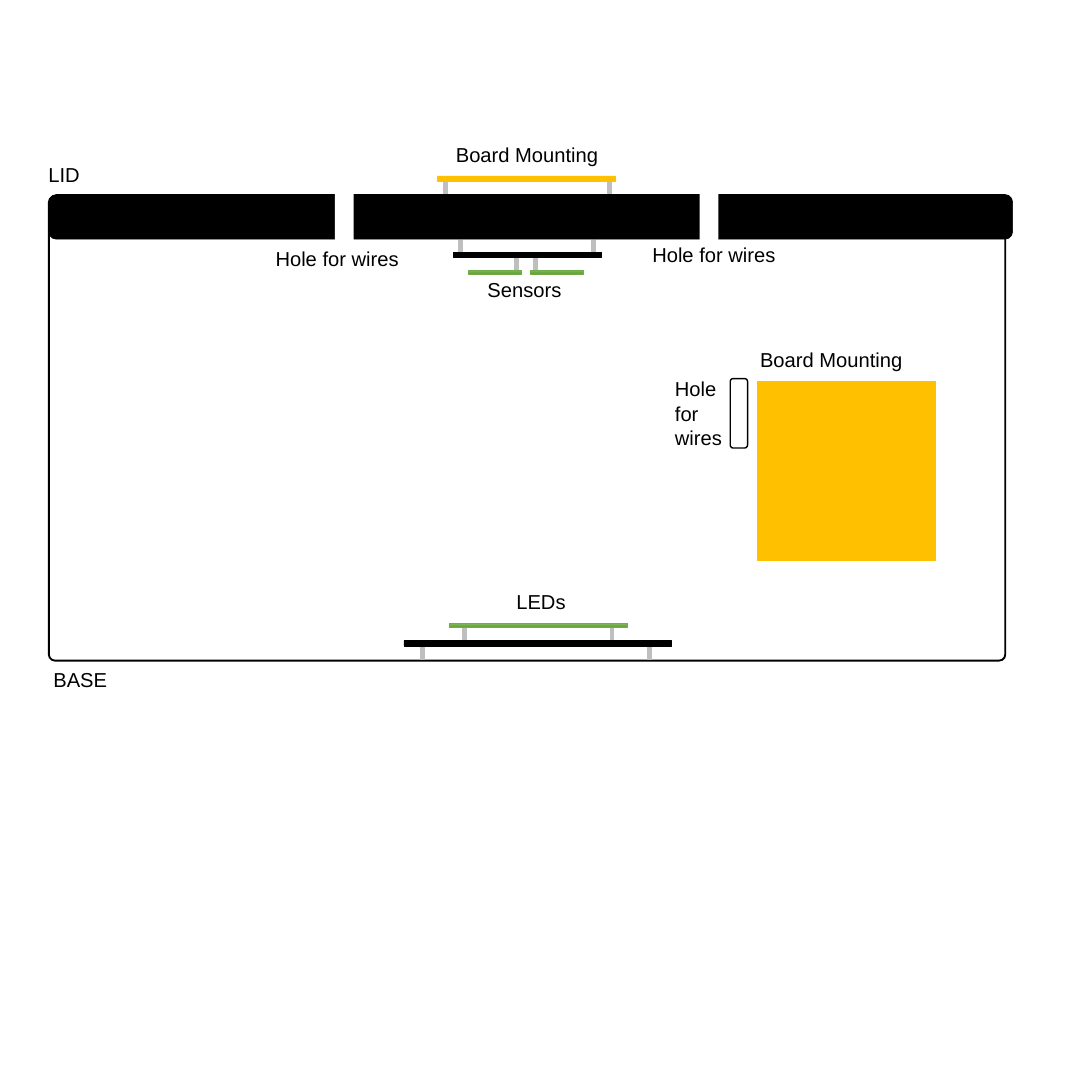
from pptx import Presentation
from pptx.dml.color import RGBColor
from pptx.enum.shapes import MSO_SHAPE as SHAPE
from pptx.enum.text import PP_ALIGN as ALIGN
from pptx.util import Cm, Pt

COLORS = {
    "black": "000000", "white": "FFFFFF", "pin": "BFBFBF", "board": "FFC000",
    "green": "70AD47", "green_top": "81B861", "green_bottom": "62A336",
}

prs = Presentation()
prs.slide_width, prs.slide_height = Cm(61.19), Cm(60)
s = prs.slides.add_slide(prs.slide_layouts[6])


def add_box(x, y, w, h, fill=None, line=None, width=1, kind=SHAPE.RECTANGLE):
    """Draw a part; the line takes the fill colour unless given."""
    sp = s.shapes.add_shape(kind, Cm(x), Cm(y), Cm(w), Cm(h))
    sp.shadow.inherit = False
    if fill is None:
        sp.fill.background()
    elif fill == "green":
        sp.fill.gradient()
        sp.fill.gradient_angle = 270
        for stop, name in zip(sp.fill.gradient_stops, ("green_top", "green_bottom")):
            stop.color.rgb = RGBColor.from_string(COLORS[name])
    else:
        sp.fill.solid()
        sp.fill.fore_color.rgb = RGBColor.from_string(COLORS[fill])
    sp.line.color.rgb = RGBColor.from_string(COLORS[line or fill])
    sp.line.width = Pt(width)
    return sp


def add_text(text, x, y, w=14.07, h=1.63, align=ALIGN.LEFT, size=32, font="Arial", color="black"):
    tf = s.shapes.add_textbox(Cm(x), Cm(y), Cm(w), Cm(h)).text_frame
    tf.word_wrap = True
    for i, line in enumerate(text.split("\n")):
        p = tf.paragraphs[0] if i == 0 else tf.add_paragraph()
        p.alignment = align
        r = p.add_run()
        r.text = line
        r.font.size, r.font.name = Pt(size), font
        r.font.color.rgb = RGBColor.from_string(COLORS[color])


# Base
base = add_box(2.74, 11, 53.59, 26.01, line="black", width=3, kind=SHAPE.ROUNDED_RECTANGLE)
base.adjustments[0] = 0.013
add_text("LID", 2.46, 8.95)
add_text("BASE", 2.74, 37.26)

# Side mounting with its wire hole
add_box(42.42, 21.37, 10, 10, "board")
add_text("Board Mounting", 42.34, 19.35)
add_box(40.92, 21.21, 0.97, 3.89, "white", "black", 2.25, SHAPE.ROUNDED_RECTANGLE)
add_text("Hole\nfor wires", 37.57, 20.98, 4.52, 4.37)

# Pins of the LEDs, the lid mounting and the sensors
for y, xs in (
    (36.12, (23.57, 36.3)), (35.13, (25.91, 34.19)),
    (10.19, (24.84, 34.04)),
    (13.44, (25.7, 33.15)), (14.33, (28.83, 29.9)),
):
    for x in xs:
        add_box(x, y, 0.2, 0.8, "pin")

# LEDs
add_box(25.15, 34.93, 10, 0.2, "green", width=0.5)
add_box(22.63, 35.89, 15, 0.3, "black")
add_text("LEDs", 26.44, 32.92, 7.75, align=ALIGN.CENTER)

# Lid mounting
add_box(24.49, 9.86, 10, 0.3, "board")
add_text("Board Mounting", 22.5, 7.85, align=ALIGN.CENTER)

# Lid with two wire holes
add_box(2.74, 10.9, 54, 2.5, "black", kind=SHAPE.ROUNDED_RECTANGLE)
for hole_x, label_x, label_y in ((18.8, 15.19, 13.67), (39.24, 36.3, 13.46)):
    add_box(hole_x, 10.69, 0.97, 4.98, "white", width=2.25, kind=SHAPE.ROUNDED_RECTANGLE)
    add_text("Hole for wires", label_x, label_y, 8.89)

# Sensors
add_box(25.4, 14.12, 8.31, 0.3, "black")
for x in (26.21, 29.69):
    add_box(x, 15.14, 3, 0.2, "green", width=0.5)
add_text("Sensors", 26.34, 15.44, 6.1, align=ALIGN.CENTER)

prs.save("out.pptx")
